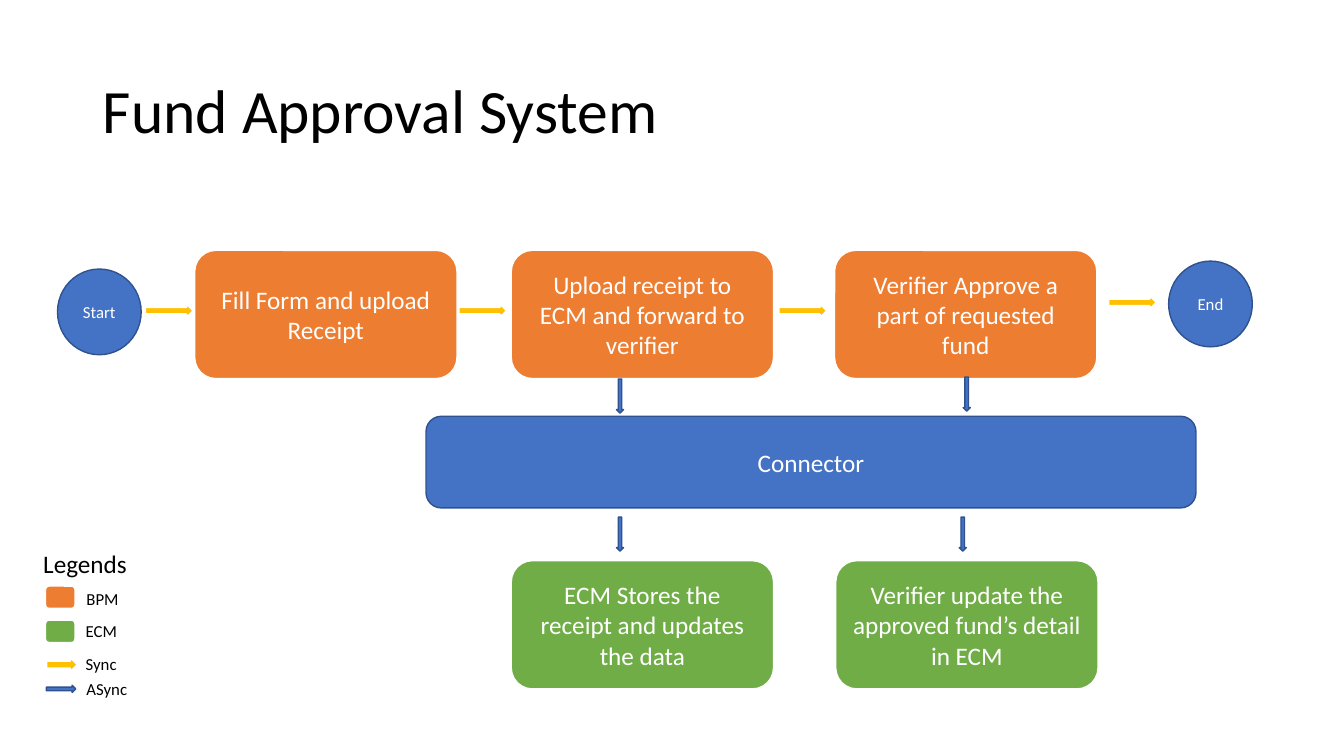
from pptx import Presentation
from pptx.dml.color import RGBColor
from pptx.enum.shapes import MSO_SHAPE
from pptx.enum.text import MSO_ANCHOR, PP_ALIGN
from pptx.util import Cm, Pt

ROUNDED, ELLIPSE = MSO_SHAPE.ROUNDED_RECTANGLE, MSO_SHAPE.OVAL
RIGHT, DOWN = MSO_SHAPE.RIGHT_ARROW, MSO_SHAPE.DOWN_ARROW
MIDDLE, TOP = MSO_ANCHOR.MIDDLE, MSO_ANCHOR.TOP
CENTER, LEFT = PP_ALIGN.CENTER, PP_ALIGN.LEFT

FONT, BLACK, WHITE = "Calibri", "000000", "FFFFFF"
# Each style: fill, line colour, line width in points
BPM = ("ED7D31", WHITE, 1.5)
ECM = ("70AD47", WHITE, 1.5)
SYNC = ("FFC000", WHITE, 1.5)
ASYNC = ("4472C4", "2F528F", 1)

# All positions and sizes are in centimetres
TITLE = "Fund Approval System"
STEP_SIZE = (6.63, 3.25)
BPM_TOP, ECM_TOP = 6.3, 14.12
STEPS = [
    ("Fill Form and upload Receipt", 4.9, BPM_TOP, BPM),
    ("Upload receipt to ECM and forward to verifier", 12.88, BPM_TOP, BPM),
    ("Verifier Approve a part of requested fund", 21.03, BPM_TOP, BPM),
    ("ECM Stores the receipt and updates the data", 12.88, ECM_TOP, ECM),
    ("Verifier update the approved fund’s detail in ECM", 21.06, ECM_TOP, ECM),
]
TERMINAL_SIZE = (2.11, 2.16)
TERMINALS = [("Start", 1.45, 6.78), ("End", 29.46, 6.58)]
CONNECTOR = ("Connector", (10.74, 10.49, 19.41, 2.31))
SYNC_SIZE = (1.22, 0.36)
SYNC_ARROWS = [(3.66, 7.65), (11.56, 7.65), (19.63, 7.65), (27.94, 7.44)]
ASYNC_SIZE = (0.18, 0.86)
ASYNC_ARROWS = [(15.54, 9.55), (24.28, 9.5), (15.54, 13.03), (24.18, 13.03)]

LEGEND_TITLE = ("Legends", (0.84, 13.69, 7.14, 1.02))
LABEL_SIZE = (7.14, 0.76)
# Label, its left and top, then the key: preset, box, style, rotation
LEGEND = [
    ("BPM", 1.93, 14.71, ROUNDED, (1.14, 14.76, 0.76, 0.58), BPM, 0),
    ("ECM", 1.91, 15.52, ROUNDED, (1.14, 15.62, 0.76, 0.58), ECM, 0),
    ("Sync", 1.91, 16.36, RIGHT, (1.17, 16.56, 0.79, 0.38), SYNC, 0),
    ("ASync", 1.93, 16.97, DOWN, (1.45, 16.99, 0.18, 0.74), ASYNC, 270),
]


def rgb(value):
    return RGBColor.from_string(value)


def write(frame, text, size, color, align, anchor):
    frame.word_wrap = True
    frame.vertical_anchor = anchor
    paragraph = frame.paragraphs[0]
    paragraph.alignment = align
    run = paragraph.add_run()
    run.text = text
    run.font.name, run.font.size = FONT, Pt(size)
    run.font.color.rgb = rgb(color)
    return paragraph


def add_part(slide, preset, box, style, text="", size=18):
    fill, line, width = style
    part = slide.shapes.add_shape(preset, *map(Cm, box))
    part.shadow.inherit = False
    part.fill.solid()
    part.fill.fore_color.rgb = rgb(fill)
    part.line.color.rgb = rgb(line)
    part.line.width = Pt(width)
    if text:
        write(part.text_frame, text, size, WHITE, CENTER, MIDDLE)
    return part


def add_label(slide, text, box, size):
    label = slide.shapes.add_textbox(*map(Cm, box))
    write(label.text_frame, text, size, BLACK, LEFT, TOP)


def add_title(slide):
    title = slide.shapes.title
    title.left, title.top = Cm(2.34), Cm(1.02)
    title.width, title.height = Cm(29.21), Cm(3.68)
    paragraph = write(title.text_frame, TITLE, 44, BLACK, LEFT, MIDDLE)
    paragraph.line_spacing = 0.9


def add_flow(slide):
    for text, left, top, style in STEPS:
        add_part(slide, ROUNDED, (left, top, *STEP_SIZE), style, text)
    for text, left, top in TERMINALS:
        add_part(slide, ELLIPSE, (left, top, *TERMINAL_SIZE), ASYNC, text, 12)
    connector_text, connector_box = CONNECTOR
    add_part(slide, ROUNDED, connector_box, ASYNC, connector_text)
    for corner in SYNC_ARROWS:
        add_part(slide, RIGHT, (*corner, *SYNC_SIZE), SYNC)
    for corner in ASYNC_ARROWS:
        add_part(slide, DOWN, (*corner, *ASYNC_SIZE), ASYNC)


def add_legend(slide):
    add_label(slide, *LEGEND_TITLE, 18)
    for text, left, top, preset, box, style, rotation in LEGEND:
        add_part(slide, preset, box, style).rotation = rotation
        add_label(slide, text, (left, top, *LABEL_SIZE), 12)


def main():
    deck = Presentation()
    deck.slide_width, deck.slide_height = Cm(33.88), Cm(19.05)
    slide = deck.slides.add_slide(deck.slide_layouts.get_by_name("Title Only"))
    add_title(slide)
    add_legend(slide)
    add_flow(slide)
    deck.save("out.pptx")


if __name__ == "__main__":
    main()
